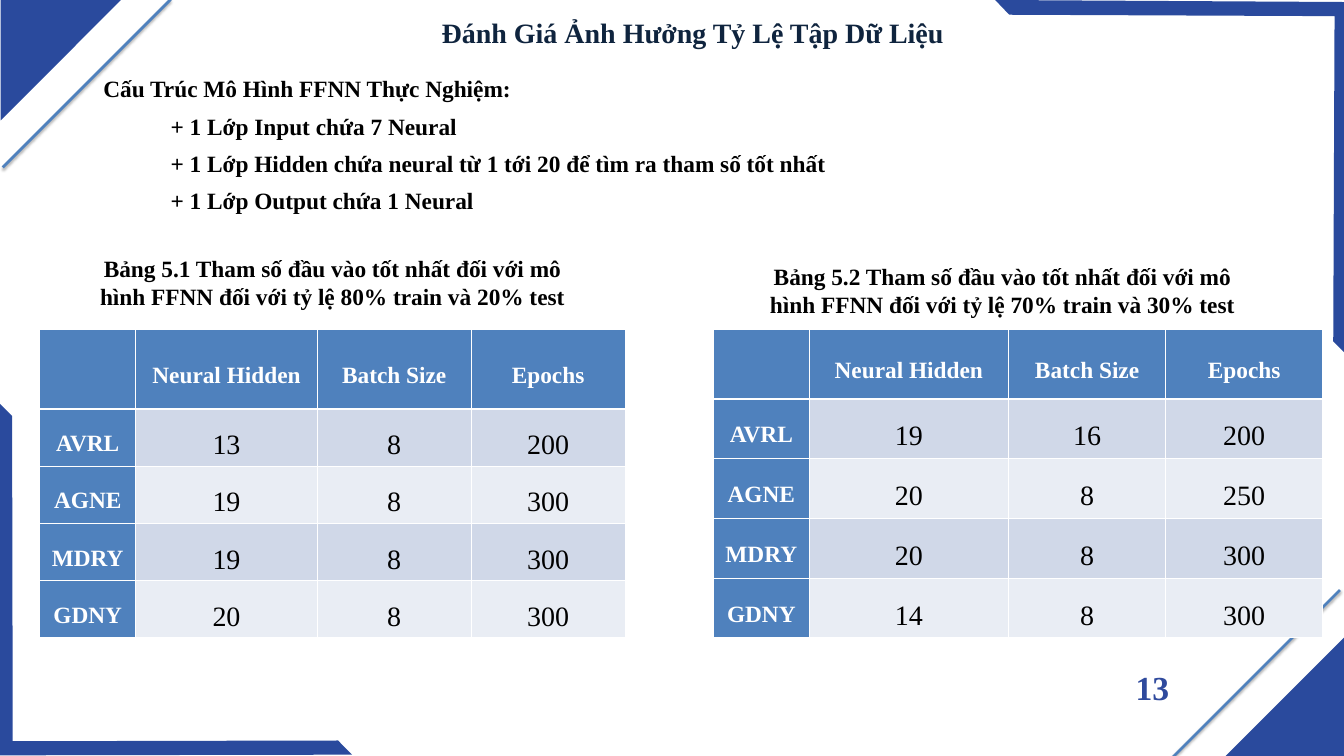
import lxml.etree
import pptx
import pptx.dml.color
import pptx.enum.shapes
import pptx.enum.text
import pptx.oxml
import pptx.oxml.ns
import pptx.util

Pt = pptx.util.Pt
RGBColor = pptx.dml.color.RGBColor
PP_ALIGN = pptx.enum.text.PP_ALIGN
MSO_ANCHOR = pptx.enum.text.MSO_ANCHOR
qn = pptx.oxml.ns.qn

WHITE = RGBColor(0xFF, 0xFF, 0xFF)
BLACK = RGBColor(0, 0, 0)
NAVY = RGBColor(0x0F, 0x24, 0x3E)
CORNER_BLUE = RGBColor(0x2A, 0x4A, 0x9D)
NUMBER_BLUE = RGBColor(0x2F, 0x4A, 0x9D)
HEADER_BLUE = RGBColor(0x4F, 0x81, 0xBD)
BAND_DARK = RGBColor(0xD0, 0xD8, 0xE8)
BAND_LIGHT = RGBColor(0xE9, 0xED, 0xF4)

SHADOW_XML = (
    '<a:effectLst xmlns:a="http://schemas.openxmlformats.org/drawingml/2006/main">'
    f'<a:outerShdw blurRad="{Pt(3.1)}" dist="{Pt(1.8)}" dir="5400000" rotWithShape="0">'
    '<a:srgbClr val="000000"><a:alpha val="35000"/></a:srgbClr>'
    '</a:outerShdw></a:effectLst>'
)


def write_text(text_frame, text, size=25, color=BLACK, bold=True, align=PP_ALIGN.CENTER,
               line_spacing=None, space_after=0, indent=0):
    text_frame.word_wrap = True
    for index, line in enumerate(text.split("\n")):
        paragraph = text_frame.add_paragraph() if index else text_frame.paragraphs[0]
        paragraph.alignment = align
        paragraph.space_after = Pt(space_after)
        if line_spacing:
            paragraph.line_spacing = line_spacing
        if index and indent:
            paragraph._p.get_or_add_pPr().set("marL", str(Pt(indent)))
        run = paragraph.add_run()
        run.text = line
        run.font.name = "Times New Roman"
        run.font.size = Pt(size)
        run.font.bold = bold
        run.font.color.rgb = color


def add_border(cell, side, width):
    border = lxml.etree.SubElement(cell._tc.get_or_add_tcPr(), qn(f"a:{side}"), w=str(Pt(width)))
    fill = lxml.etree.SubElement(border, qn("a:solidFill"))
    lxml.etree.SubElement(fill, qn("a:srgbClr"), val=str(WHITE))


presentation = pptx.Presentation()
presentation.slide_width = Pt(1440)
presentation.slide_height = Pt(810)
slide = presentation.slides.add_slide(presentation.slide_layouts[6])

corner_outlines = [
    [(0.7, 129), (0.7, 0), (129.6, 0)],
    [(1440, 683.3), (1440, 812.2), (1311, 812.2)],
    [(377.3, 808.6), (-1.4, 809.3), (-2.2, 430.6), (13, 445.7), (13.7, 794.2), (362.2, 793.4)],
    [(1066.3, 0), (1445, 2.2), (1443.6, 380.9), (1428.5, 365.8), (1429.9, 17.3), (1081.4, 15.8)],
]
for outline in corner_outlines:
    points = [(Pt(x), Pt(y)) for x, y in outline]
    builder = slide.shapes.build_freeform(*points[0], scale=1.0)
    builder.add_line_segments(points[1:], close=True)
    shape = builder.convert_to_shape()
    shape.shadow.inherit = False
    shape.fill.solid()
    shape.fill.fore_color.rgb = CORNER_BLUE
    shape.line.fill.background()

for left, top in [(2.9, -0.7), (1255.7, 632.2)]:
    stripe = slide.shapes.add_connector(
        pptx.enum.shapes.MSO_CONNECTOR.STRAIGHT, Pt(left + 180), Pt(top), Pt(left), Pt(top + 180))
    stripe.line.color.rgb = HEADER_BLUE
    stripe.line.width = Pt(3)
    stripe._element.spPr.append(pptx.oxml.parse_xml(SHADOW_XML))

title = slide.shapes.add_textbox(Pt(431.3), Pt(16.6), Pt(622), Pt(72.7))
title_frame = title.text_frame
title_frame.margin_left = title_frame.margin_right = 0
title_frame.margin_top = title_frame.margin_bottom = 0
write_text(title_frame, "Đánh Giá Ảnh Hưởng Tỷ Lệ Tập Dữ Liệu", size=30, color=NAVY)

header = ["", "Neural Hidden", "Batch Size", "Epochs"]
parameter_tables = [
    (42.5, [103, 194.4, 164.9, 164.9], [85.2, 61.3, 61.3, 61.3, 61.3], [
        header,
        ["AVRL", "13", "8", "200"],
        ["AGNE", "19", "8", "300"],
        ["MDRY", "19", "8", "300"],
        ["GDNY", "20", "8", "300"],
    ]),
    (764.6, [102.2, 213.8, 168.3, 168.3], [74.5, 64, 64, 64, 64], [
        header,
        ["AVRL", "19", "16", "200"],
        ["AGNE", "20", "8", "250"],
        ["MDRY", "20", "8", "300"],
        ["GDNY", "14", "8", "300"],
    ]),
]
for left, widths, heights, rows in parameter_tables:
    table = slide.shapes.add_table(
        len(rows), len(widths), Pt(left), Pt(352.8), Pt(sum(widths)), Pt(sum(heights))).table
    for column, width in zip(table.columns, widths):
        column.width = Pt(width)
    for row_index, values in enumerate(rows):
        table.rows[row_index].height = Pt(heights[row_index])
        for column_index, value in enumerate(values):
            cell = table.cell(row_index, column_index)
            is_heading = row_index == 0 or column_index == 0
            cell.margin_left = cell.margin_right = Pt(5)
            cell.margin_top = cell.margin_bottom = 0
            cell.vertical_anchor = MSO_ANCHOR.MIDDLE
            if value:
                write_text(cell.text_frame, value, size=25 if is_heading else 30,
                           color=WHITE if is_heading else BLACK, bold=is_heading,
                           line_spacing=1.5)
            add_border(cell, "lnL", 1)
            add_border(cell, "lnR", 1)
            add_border(cell, "lnT", 3 if row_index == 1 else 1)
            add_border(cell, "lnB", 3 if row_index == 0 else 1)
            cell.fill.solid()
            band = BAND_DARK if row_index % 2 else BAND_LIGHT
            cell.fill.fore_color.rgb = HEADER_BLUE if is_heading else band

captions = [
    (92.9, 268.6, 526.3,
     "Bảng 5.1 Tham số đầu vào tốt nhất đối với mô hình FFNN đối với tỷ lệ 80% train và 20% test"),
    (801.4, 277.9, 545,
     "Bảng 5.2 Tham số đầu vào tốt nhất đối với mô hình FFNN đối với tỷ lệ 70% train và 30% test"),
]
for left, top, width, text in captions:
    caption = slide.shapes.add_textbox(Pt(left), Pt(top), Pt(width), Pt(67.7))
    write_text(caption.text_frame, text, space_after=10)

structure = slide.shapes.add_textbox(Pt(103.7), Pt(76.3), Pt(950.4), Pt(158.4))
write_text(
    structure.text_frame,
    "Cấu Trúc Mô Hình FFNN Thực Nghiệm:\n"
    "+ 1 Lớp Input chứa 7 Neural\n"
    "+ 1 Lớp Hidden chứa neural từ 1 tới 20 để tìm ra tham số tốt nhất\n"
    "+ 1 Lớp Output chứa 1 Neural",
    align=PP_ALIGN.LEFT, space_after=10, indent=72)

page_number = slide.shapes.add_textbox(Pt(1193), Pt(710.6), Pt(83.5), Pt(51))
write_text(page_number.text_frame, "13", size=36, color=NUMBER_BLUE)

presentation.save("out.pptx")
